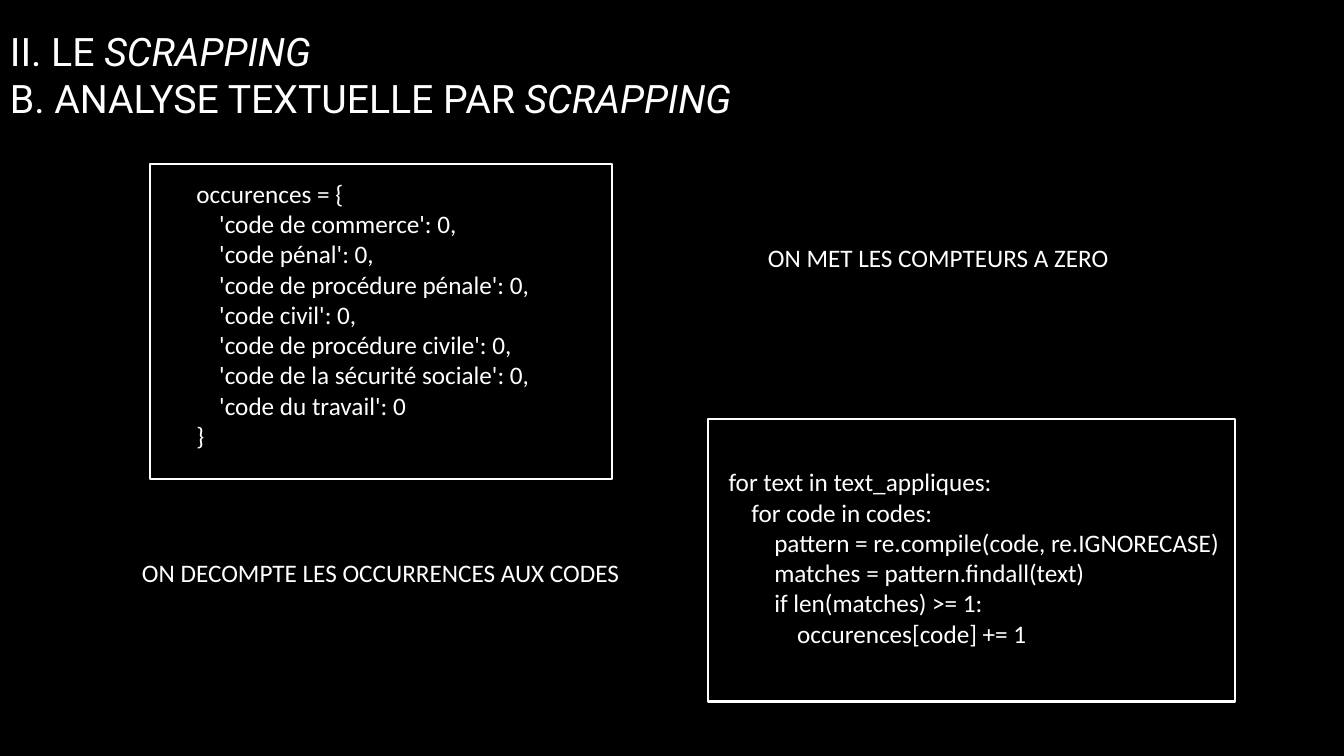
from dataclasses import dataclass

from pptx import Presentation
from pptx.dml.color import RGBColor as Color
from pptx.enum.shapes import MSO_SHAPE as Shape
from pptx.enum.text import MSO_ANCHOR as Anchor
from pptx.util import Inches, Pt


@dataclass(frozen=True)
class Theme:
    background: Color = Color(0, 0, 0)
    ink: Color = Color(255, 255, 255)
    title_font: str = "Roboto"
    body_font: str = "Calibri"
    title_size: Pt = Pt(28)
    body_size: Pt = Pt(18)
    border: Pt = Pt(1.5)
    indent: Pt = Pt(16.3)


@dataclass(frozen=True)
class Box:
    left: float
    top: float
    width: float
    height: float

    def inset(self, across, down):
        return Box(self.left + across, self.top + down,
                   self.width - across, self.height - down)

    def place(self):
        return (SLIDE_WIDTH * self.left / COLUMNS, SLIDE_HEIGHT * self.top / ROWS,
                SLIDE_WIDTH * self.width / COLUMNS, SLIDE_HEIGHT * self.height / ROWS)

    def emu(self):
        return [int(length) for length in self.place()]


THEME = Theme()
SLIDE_WIDTH, SLIDE_HEIGHT = Inches(13.33), Inches(7.5)
COLUMNS, ROWS = 160, 90
BODY = {"name": THEME.body_font, "size": THEME.body_size}
TITLE = {"name": THEME.title_font, "size": THEME.title_size}

TITLE_LINES = [("II. LE ", "SCRAPPING"), ("B. ANALYSE TEXTUELLE PAR ", "SCRAPPING")]
CODES = ["de commerce", "pénal", "de procédure pénale", "civil",
         "de procédure civile", "de la sécurité sociale", "du travail"]
COUNTERS = [
    (0, "occurences = {"),
    *[(1, f"'code {code}': 0" + ("" if code == CODES[-1] else ",")) for code in CODES],
    (0, "}"),
]
LOOP = [
    (0, "for text in text_appliques:"),
    (1, "for code in codes:"),
    (2, "pattern = re.compile(code, re.IGNORECASE)"),
    (2, "matches = pattern.findall(text)"),
    (2, "if len(matches) >= 1:"),
    (3, "occurences[code] += 1"),
]


def add_span(para, text, formats):
    span = para.add_run()
    span.text = text
    for name, value in formats.items():
        setattr(span.font, name, value)
    span.font.color.rgb = THEME.ink


def add_frame_of_text(page, box, anchor=Anchor.TOP):
    frame = page.shapes.add_textbox(*box.emu()).text_frame
    frame.word_wrap = True
    frame.vertical_anchor = anchor
    return frame


def add_title(page, box):
    para = add_frame_of_text(page, box, Anchor.MIDDLE).paragraphs[0]
    for number, (plain, slanted) in enumerate(TITLE_LINES):
        if number:
            para.add_line_break()
        add_span(para, plain, TITLE)
        add_span(para, slanted, {**TITLE, "italic": True})


def add_code_panel(page, box, lines, across, down):
    frame = add_frame_of_text(page, box.inset(across, down))
    for number, (level, text) in enumerate(lines):
        para = frame.add_paragraph() if number else frame.paragraphs[0]
        para._p.get_or_add_pPr().set("marL", str(int(level * THEME.indent)))
        add_span(para, text, BODY)
    outline = page.shapes.add_shape(Shape.RECTANGLE, *box.emu())
    outline.shadow.inherit = False
    outline.fill.background()
    outline.line.color.rgb = THEME.ink
    outline.line.width = THEME.border


def add_caption(page, box, text):
    add_span(add_frame_of_text(page, box).paragraphs[0], text, BODY)


def build_page(deck):
    page = deck.slides.add_slide(deck.slide_layouts[6])
    page.background.fill.solid()
    page.background.fill.fore_color.rgb = THEME.background
    add_title(page, Box(0, 0.12, 159.84, 17.4))
    add_code_panel(page, Box(17.9, 19.56, 55, 37.44), COUNTERS, 4.3, 1.08)
    add_caption(page, Box(90.24, 28.2, 46.08, 4.8), "ON MET LES COMPTEURS A ZERO")
    add_code_panel(page, Box(84.24, 49.92, 62.76, 33.6), LOOP, 1.32, 5.04)
    add_caption(page, Box(15.72, 65.76, 66.6, 4.8), "ON DECOMPTE LES OCCURRENCES AUX CODES")


def main():
    deck = Presentation()
    deck.slide_width, deck.slide_height = SLIDE_WIDTH, SLIDE_HEIGHT
    build_page(deck)
    deck.save("out.pptx")


if __name__ == "__main__":
    main()
